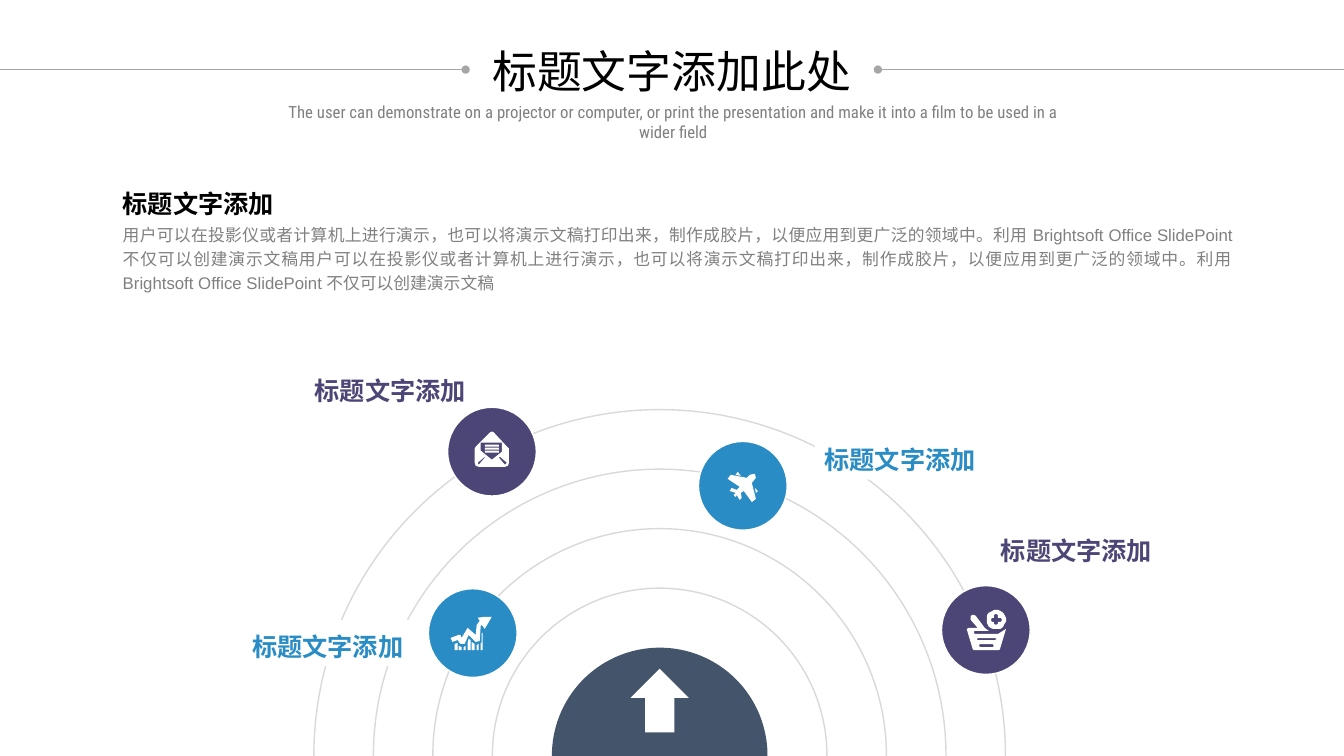
"""Build a slide of concentric arcs with four labelled icon badges."""
from math import cos, pi, sin

from lxml.etree import SubElement
from pptx import Presentation
from pptx.dml.color import RGBColor
from pptx.enum.shapes import MSO_CONNECTOR, MSO_SHAPE
from pptx.enum.text import MSO_AUTO_SIZE, PP_ALIGN
from pptx.oxml.ns import qn
from pptx.util import Pt

BLACK, WHITE, GRAY = "000000", "FFFFFF", "808080"
RING_GRAY, RULE_GRAY, SLATE = "D9D9D9", "A6A6A6", "44546A"
BLUE, PURPLE = "298CC5", "4C4676"
ICON_UNIT = 0.72
CENTER_X, CENTER_Y = 471.2, 539.6
CORE_RADIUS, RING_STEP, BADGE_RADIUS = 77, 42.5, 31.7

LABEL = "标题文字添加"
SUBTITLE = ("The user can demonstrate on a projector or computer, or print the presentation "
            "and make it into a film to be used in a wider field")
PRODUCT = "Brightsoft Office SlidePoint"
USES = ("用户可以在投影仪或者计算机上进行演示，也可以将演示文稿打印出来，"
        f"制作成胶片，以便应用到更广泛的领域中。利用{PRODUCT}不仅可以创建演示文稿")
BODY = USES * 2

ENVELOPE = [
    [(0, 17), (1, 15), (15, 1), (17, 0), (19, 1), (32, 15), (34, 17), (34, 31), (33, 34),
     (30, 35), (4, 35), (1, 34), (0, 31)],
    [(6, 11), (6, 19), (17, 28), (27, 20), (27, 11)],
    *[[(10, top), (24, top), (24, top + 2), (10, top + 2)] for top in (13, 16, 19)],
    [(4, 33), (10, 26), (10, 25), (3, 31)],
    [(30, 33), (24, 26), (25, 25), (32, 31)],
]
CHART = [
    [(41, 0), (34, 12), (31, 8), (30, 9), (29, 24), (25, 25), (18, 18), (14, 27), (10, 27),
     (7, 23), (2, 25), (0, 21), (8, 18), (10, 18), (11, 21), (17, 11), (25, 18), (26, 8),
     (29, 4), (27, 1), (34, 0)],
    [(4, 33), (7, 33), (7, 26), (4, 27)],
    [(8, 33), (11, 33), (11, 30), (8, 29)],
    [(13, 33), (15, 33), (15, 29), (13, 30)],
    [(17, 33), (20, 33), (20, 23), (18, 22), (17, 26)],
    [(21, 33), (24, 33), (24, 27), (21, 25)],
    [(26, 33), (28, 33), (28, 27), (26, 28)],
    [(30, 33), (32, 33), (32, 16), (31, 16), (31, 26), (30, 26)],
]
PLANE = [
    [(27, 2), (28, 6), (24, 11), (28, 27), (24, 30), (16, 19), (13, 21), (14, 26), (12, 28),
     (9, 23), (8, 25), (6, 23), (8, 21), (2, 19), (4, 16), (9, 18), (12, 15), (0, 7), (3, 3),
     (19, 6), (22, 3)],
    [(30, 19), (27, 16), (28, 21)],
    [(10, 0), (8, 3), (13, 4)],
]
BASKET = [
    [(7, 5), (9, 6), (18, 18), (22, 21), (8, 21), (7, 22), (8, 24), (31, 24), (39, 19),
     (33, 39), (32, 40), (7, 40), (6, 39), (0, 19), (2, 18), (11, 18), (4, 10), (4, 7), (5, 5)],
    [(13, 34), (12, 36), (14, 37), (26, 37), (27, 36), (26, 34)],
    [(11, 28), (10, 29), (11, 30), (28, 30), (30, 29), (28, 28)],
    [(29.3 + 9.7 * cos(step * pi / 16), 9.7 + 9.7 * sin(step * pi / 16)) for step in range(32)],
    [(27, 5), (29, 4), (31, 5), (31, 8), (34, 8), (35, 10), (34, 12), (31, 12), (31, 14),
     (29, 15), (27, 14), (27, 12), (25, 12), (24, 10), (25, 8), (27, 8)],
]
BADGES = [
    (337.7, 452.2, BLUE, CHART, 321.8, 440.6),
    (351.4, 322.6, PURPLE, ENVELOPE, 339.1, 308.2),
    (530.6, 347, BLUE, PLANE, 519.8, 337),
    (704.2, 450, PURPLE, BASKET, 690.5, 435.6),
]
LABELS = [
    (707.8, 374.4, PURPLE, PP_ALIGN.LEFT, None),
    (581.8, 309.6, BLUE, PP_ALIGN.LEFT, WHITE),
    (175.7, 259.9, PURPLE, PP_ALIGN.RIGHT, None),
    (131, 442.8, BLUE, PP_ALIGN.RIGHT, WHITE),
]


def color(value):
    return RGBColor.from_string(value)


class SlideBuilder:
    """Hold the slide and its style, and draw each kind of element."""

    def __init__(self, slide, font="Arial"):
        self.slide = slide
        self.font = font

    def paint(self, shape, fill=None, line=None):
        shape.shadow.inherit = False
        if fill:
            shape.fill.solid()
            shape.fill.fore_color.rgb = color(fill)
        else:
            shape.fill.background()
        if line:
            shape.line.color.rgb = color(line)
            shape.line.width = Pt(1)
        else:
            shape.line.fill.background()

    def circle(self, x, y, radius, fill=None, line=None):
        shape = self.slide.shapes.add_shape(
            MSO_SHAPE.OVAL, Pt(x - radius), Pt(y - radius), Pt(2 * radius), Pt(2 * radius))
        self.paint(shape, fill, line)

    def up_arrow(self, x, y, width, height):
        shape = self.slide.shapes.add_shape(
            MSO_SHAPE.UP_ARROW, Pt(x - width / 2), Pt(y - height / 2), Pt(width), Pt(height))
        self.paint(shape, WHITE)

    def icon(self, left, top, contours):
        builder = self.slide.shapes.build_freeform(*contours[0][0], scale=float(Pt(ICON_UNIT)))
        for index, contour in enumerate(contours):
            if index:
                builder.move_to(*contour[0])
            builder.add_line_segments(contour[1:], close=True)
        self.paint(builder.convert_to_shape(Pt(left), Pt(top)), WHITE)

    def rule(self, start, end, y, dotted_end):
        connector = self.slide.shapes.add_connector(
            MSO_CONNECTOR.STRAIGHT, Pt(start), Pt(y), Pt(end), Pt(y))
        connector.line.color.rgb = color(RULE_GRAY)
        connector.line.width = Pt(0.5)
        SubElement(connector.line._get_or_add_ln(), qn(f"a:{dotted_end}"), type="oval")
        SubElement(connector._element.spPr, qn("a:effectLst"))

    def text(self, box, content, size, ink, align, font=None, bold=False,
             spacing=None, fill=None, wrap=True):
        shape = self.slide.shapes.add_textbox(*[Pt(length) for length in box])
        if fill:
            self.paint(shape, fill)
        frame = shape.text_frame
        frame.word_wrap = wrap
        frame.auto_size = MSO_AUTO_SIZE.SHAPE_TO_FIT_TEXT
        paragraph = frame.paragraphs[0]
        paragraph.text = content
        paragraph.alignment = align
        paragraph.line_spacing = spacing
        paragraph.font.name = font or self.font
        paragraph.font.size = Pt(size)
        paragraph.font.bold = bold
        paragraph.font.color.rgb = color(ink)


def main():
    presentation = Presentation()
    presentation.slide_width, presentation.slide_height = Pt(960), Pt(540)
    builder = SlideBuilder(presentation.slides.add_slide(presentation.slide_layouts[6]))

    for ring in range(1, 5):
        builder.circle(CENTER_X, CENTER_Y, CORE_RADIUS + ring * RING_STEP, line=RING_GRAY)
    builder.circle(CENTER_X, CENTER_Y, CORE_RADIUS, fill=SLATE)
    builder.up_arrow(CENTER_X, 500.4, 41.8, 45.4)

    for x, y, fill, contours, left, top in BADGES:
        builder.circle(x, y, BADGE_RADIUS, fill, WHITE)
        builder.icon(left, top, contours)

    builder.rule(0, 332.6, 49.7, "tailEnd")
    builder.rule(627.1, 960, 49.7, "headEnd")
    builder.text((343.4, 27.4, 272.9, 46), "标题文字添加此处", 32, BLACK, PP_ALIGN.CENTER,
                 font="Roboto Condensed", wrap=False)
    builder.text((198, 69.1, 565.9, 21.6), SUBTITLE, 12, GRAY, PP_ALIGN.CENTER,
                 font="Roboto Condensed")
    builder.text((80.6, 154.1, 810, 59.8), BODY, 12, GRAY, PP_ALIGN.JUSTIFY, spacing=1.2)
    builder.text((80.6, 126.7, 164.2, 33.8), LABEL, 18, BLACK, PP_ALIGN.JUSTIFY,
                 bold=True, spacing=1.2)
    for left, top, ink, align, fill in LABELS:
        builder.text((left, top, 164.2, 33), LABEL, 18, ink, align,
                     bold=True, spacing=1.2, fill=fill)

    presentation.save("out.pptx")


if __name__ == "__main__":
    main()
